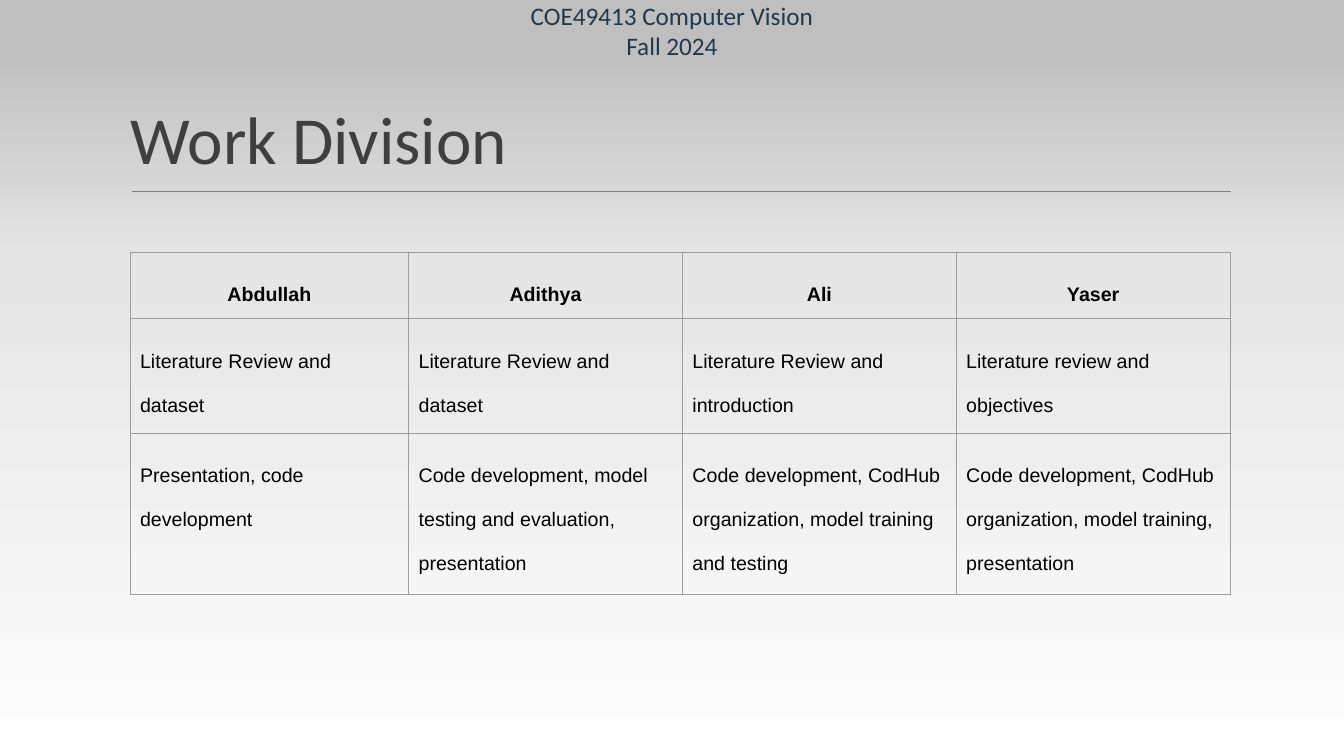
from copy import deepcopy

from pptx import Presentation
from pptx.dml.color import RGBColor as Rgb
from pptx.enum.shapes import MSO_CONNECTOR as Connector, MSO_SHAPE as Preset
from pptx.enum.text import MSO_ANCHOR as Anchor, PP_ALIGN as Align
from pptx.oxml import parse_xml
from pptx.oxml.ns import nsdecls, qn
from pptx.util import Cm, Pt

COURSE = ["COE49413 Computer Vision", "Fall 2024"]
TITLE = "Work Division"
DIVISION = [
    ["Abdullah", "Adithya", "Ali", "Yaser"],
    [
        "Literature Review and dataset",
        "Literature Review and dataset",
        "Literature Review and introduction",
        "Literature review and objectives",
    ],
    [
        "Presentation, code development",
        "Code development, model testing and evaluation, presentation",
        "Code development, CodHub organization, model training and testing",
        "Code development, CodHub organization, model training, presentation",
    ],
]

COLORS = {
    "banner": "BFBFBF",
    "course": "1F394D",
    "title": "3F3F3F",
    "rule": "7F7F7F",
    "border": "9E9E9E",
    "cell": "000000",
}
GRADIENT = [(0, "FDFDFD"), (0.65, "E6E6E6"), (1, "B6B6B6")]
COURSE_FONT = {"name": "Calibri", "size": Pt(18)}
TITLE_FONT = {"name": "Calibri", "size": Pt(48)}
CELL_FONT = {"name": "Arial", "size": Pt(14)}

PAGE_WIDTH, PAGE_HEIGHT = Cm(33.87), Cm(19.05)
BANNER_HEIGHT = Cm(1.53)
TITLE_AREA = Cm(3.05), Cm(0.58), Cm(27.94), Cm(4.04)
RULE_LEFT, RULE_RIGHT, RULE_TOP = Cm(3.33), Cm(31.01), Cm(4.83)
TABLE_LEFT, TABLE_TOP = Cm(3.28), Cm(6.35)
COLUMN_WIDTHS = [Cm(7.02)] + [Cm(6.9)] * 3
ROW_HEIGHTS = [Cm(1.61), Cm(2.72), Cm(3.84)]
CELL_MARGIN = Cm(0.25)


def write(frame, lines, font, color, **paragraph_format):
    for index, line in enumerate(lines):
        para = frame.paragraphs[0] if index == 0 else frame.add_paragraph()
        for name, value in paragraph_format.items():
            setattr(para, name, value)
        span = para.add_run()
        span.text = line
        for name, value in font.items():
            setattr(span.font, name, value)
        span.font.color.rgb = Rgb.from_string(COLORS[color])


def paint_background(page):
    fill = page.background.fill
    fill.gradient()
    fill.gradient_angle = 90
    stops = page.element.find(".//" + qn("a:gsLst"))
    stops.append(deepcopy(stops[0]))
    for stop, (position, color) in zip(fill.gradient_stops, GRADIENT):
        stop.position = position
        stop.color.rgb = Rgb.from_string(color)


def add_banner(page):
    banner = page.shapes.add_shape(Preset.RECTANGLE, 0, 0, PAGE_WIDTH, BANNER_HEIGHT)
    banner.shadow.inherit = False
    banner.fill.solid()
    banner.fill.fore_color.rgb = Rgb.from_string(COLORS["banner"])
    banner.line.color.rgb = Rgb.from_string(COLORS["banner"])
    banner.line.width = Pt(1.25)
    banner.text_frame.vertical_anchor = Anchor.MIDDLE
    write(banner.text_frame, COURSE, COURSE_FONT, "course", alignment=Align.CENTER)


def add_title(page):
    rule = page.shapes.add_connector(
        Connector.STRAIGHT, RULE_LEFT, RULE_TOP, RULE_RIGHT, RULE_TOP
    )
    rule.line.color.rgb = Rgb.from_string(COLORS["rule"])
    rule.line.width = Pt(0.75)
    rule._element.spPr.append(parse_xml(f"<a:effectLst {nsdecls('a')}/>"))

    frame = page.shapes.add_textbox(*TITLE_AREA).text_frame
    frame.word_wrap = True
    frame.vertical_anchor = Anchor.BOTTOM
    write(frame, [TITLE], TITLE_FONT, "title", line_spacing=0.85)


def draw_borders(cell):
    properties = cell._tc.get_or_add_tcPr()
    for side in "LRTB":
        properties.append(parse_xml(
            f'<a:ln{side} {nsdecls("a")} w="{Pt(0.75)}"><a:solidFill>'
            f'<a:srgbClr val="{COLORS["border"]}"/></a:solidFill></a:ln{side}>'
        ))


def add_division(page):
    table = page.shapes.add_table(
        len(ROW_HEIGHTS), len(COLUMN_WIDTHS), TABLE_LEFT, TABLE_TOP,
        sum(COLUMN_WIDTHS), sum(ROW_HEIGHTS),
    ).table
    table.first_row = table.horz_banding = False
    for column, width in zip(table.columns, COLUMN_WIDTHS):
        column.width = width
    for row_index, (row, height) in enumerate(zip(table.rows, ROW_HEIGHTS)):
        row.height = height
        is_header = row_index == 0
        for cell, text in zip(row.cells, DIVISION[row_index]):
            for side in ("left", "right", "top", "bottom"):
                setattr(cell, f"margin_{side}", CELL_MARGIN)
            draw_borders(cell)
            cell.fill.background()
            write(
                cell.text_frame, [text], {**CELL_FONT, "bold": is_header}, "cell",
                alignment=Align.CENTER if is_header else Align.LEFT, line_spacing=2.0,
            )


def main():
    deck = Presentation()
    deck.slide_width, deck.slide_height = PAGE_WIDTH, PAGE_HEIGHT
    page = deck.slides.add_slide(deck.slide_layouts[6])
    paint_background(page)
    add_banner(page)
    add_title(page)
    add_division(page)
    deck.save("out.pptx")


if __name__ == "__main__":
    main()
